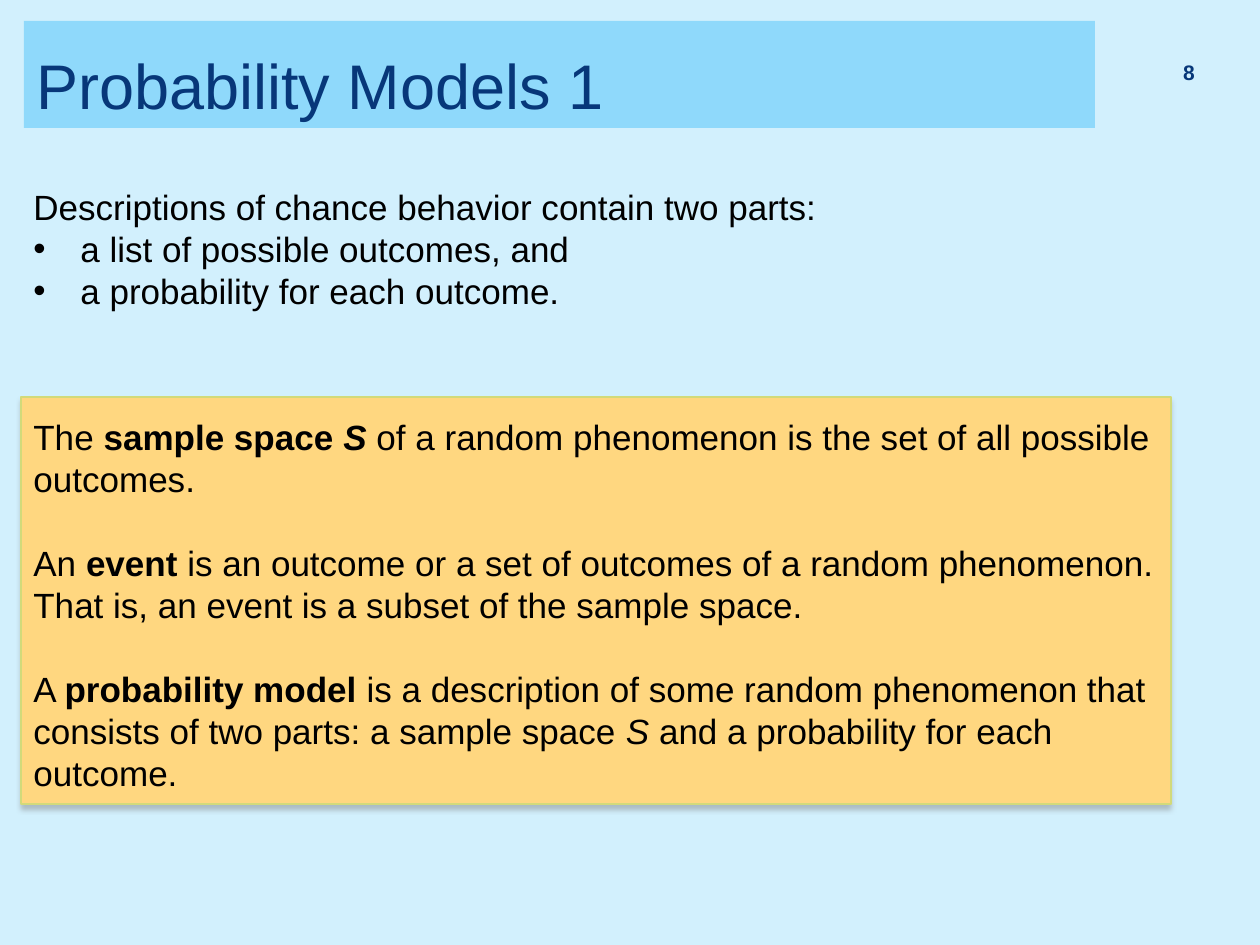
import lxml.etree
import pptx
import pptx.dml.color
import pptx.enum.shapes
import pptx.enum.text
import pptx.oxml.ns
import pptx.util

SCALE = 914400 / 126
COLORS = {
    "background": "D2F0FD",
    "banner": "8FD9FB",
    "heading": "073779",
    "body": "000000",
    "panel": "FFD780",
    "border": "D2DA7A",
    "shadow": "808080",
}
INTRO = "Descriptions of chance behavior contain two parts:"
PARTS = ["a list of possible outcomes, and", "a probability for each outcome."]
DEFINITIONS = [
    [("The ", ""), ("sample space ", "b"), ("S", "bi"),
     (" of a random phenomenon is the set of all possible outcomes.", "")],
    [("An ", ""), ("event", "b"),
     (" is an outcome or a set of outcomes of a random phenomenon. "
      "That is, an event is a subset of the sample space.", "")],
    [("A ", ""), ("probability model", "b"),
     (" is a description of some random phenomenon that consists of two parts: "
      "a sample space ", ""), ("S", "i"),
     (" and a probability for each outcome.", "")],
]


def px(length):
    """Turn px into EMU."""
    return pptx.util.Emu(round(length * SCALE))


def color(name):
    """Look up a named colour."""
    return pptx.dml.color.RGBColor.from_string(COLORS[name])


def add_panel(page, place, fill):
    """Add a plain filled rectangle."""
    panel = page.shapes.add_shape(
        pptx.enum.shapes.MSO_SHAPE.RECTANGLE, *map(px, place))
    panel.shadow.inherit = False
    panel.fill.solid()
    panel.fill.fore_color.rgb = color(fill)
    panel.line.fill.background()
    return panel


def add_shadow(shape):
    """Give a shape a soft shadow below it."""
    effects = shape._element.spPr.find(pptx.oxml.ns.qn("a:effectLst"))
    shadow = lxml.etree.SubElement(
        effects, pptx.oxml.ns.qn("a:outerShdw"), blurRad="38100", dist="30480",
        dir="5400000", algn="ctr", rotWithShape="0")
    tint = lxml.etree.SubElement(
        shadow, pptx.oxml.ns.qn("a:srgbClr"), val=COLORS["shadow"])
    lxml.etree.SubElement(tint, pptx.oxml.ns.qn("a:alpha"), val="45000")


def add_bullet(para):
    """Give a paragraph a round bullet with a hanging indent."""
    properties = para._p.get_or_add_pPr()
    properties.set("marL", str(px(47)))
    properties.set("indent", str(px(-47)))
    lxml.etree.SubElement(
        properties, pptx.oxml.ns.qn("a:buFont"), typeface="Arial")
    lxml.etree.SubElement(properties, pptx.oxml.ns.qn("a:buChar"), char="•")


def write(box, paragraphs, size, ink, anchor="TOP", align="LEFT", bold=False,
          bulleted=False, gap=0):
    """Fill a box with paragraphs of styled spans."""
    frame = box.text_frame
    frame.word_wrap = True
    frame.vertical_anchor = pptx.enum.text.MSO_ANCHOR[anchor]
    for index, spans in enumerate(paragraphs):
        para = frame.add_paragraph() if index else frame.paragraphs[0]
        if index and bulleted:
            add_bullet(para)
        para.alignment = pptx.enum.text.PP_ALIGN[align]
        if index and gap:
            para.space_before = pptx.util.Pt(gap)
        para.font.name = "Arial"
        para.font.size = pptx.util.Pt(size)
        para.font.color.rgb = color(ink)
        para.font.bold = bold
        for text, style in spans:
            span = para.add_run()
            span.text = text
            if "b" in style:
                span.font.bold = True
            if "i" in style:
                span.font.italic = True
            if box.shape_type == pptx.enum.shapes.MSO_SHAPE_TYPE.AUTO_SHAPE:
                span.font.color.rgb = color(ink)


def main():
    """Build the slide and save it."""
    deck = pptx.Presentation()
    deck.slide_width, deck.slide_height = px(1260), px(945)
    page = deck.slides.add_slide(deck.slide_layouts[6])
    page.background.fill.solid()
    page.background.fill.fore_color.rgb = color("background")

    banner = add_panel(page, (24, 21, 1071, 107), "banner")
    write(banner, [[("Probability Models 1", "")]], 36, "heading", "BOTTOM")

    number = page.shapes.add_textbox(*map(px, (1138, 49, 69, 50)))
    write(number, [[("8", "")]], 12, "heading", "MIDDLE", "RIGHT", bold=True)
    number.text_frame.paragraphs[0].line_spacing = 0.8

    intro = page.shapes.add_textbox(*map(px, (21, 179, 1168, 140)))
    write(intro, [[(text, "")] for text in [INTRO, *PARTS]], 20, "body",
          bulleted=True)

    definitions = add_panel(page, (21, 397, 1150, 407), "panel")
    definitions.line.color.rgb = color("border")
    definitions.line.width = pptx.util.Pt(0.79)
    add_shadow(definitions)
    write(definitions, DEFINITIONS, 20, "body", gap=24)
    definitions.text_frame.margin_top = px(18)

    deck.save("out.pptx")


if __name__ == "__main__":
    main()
